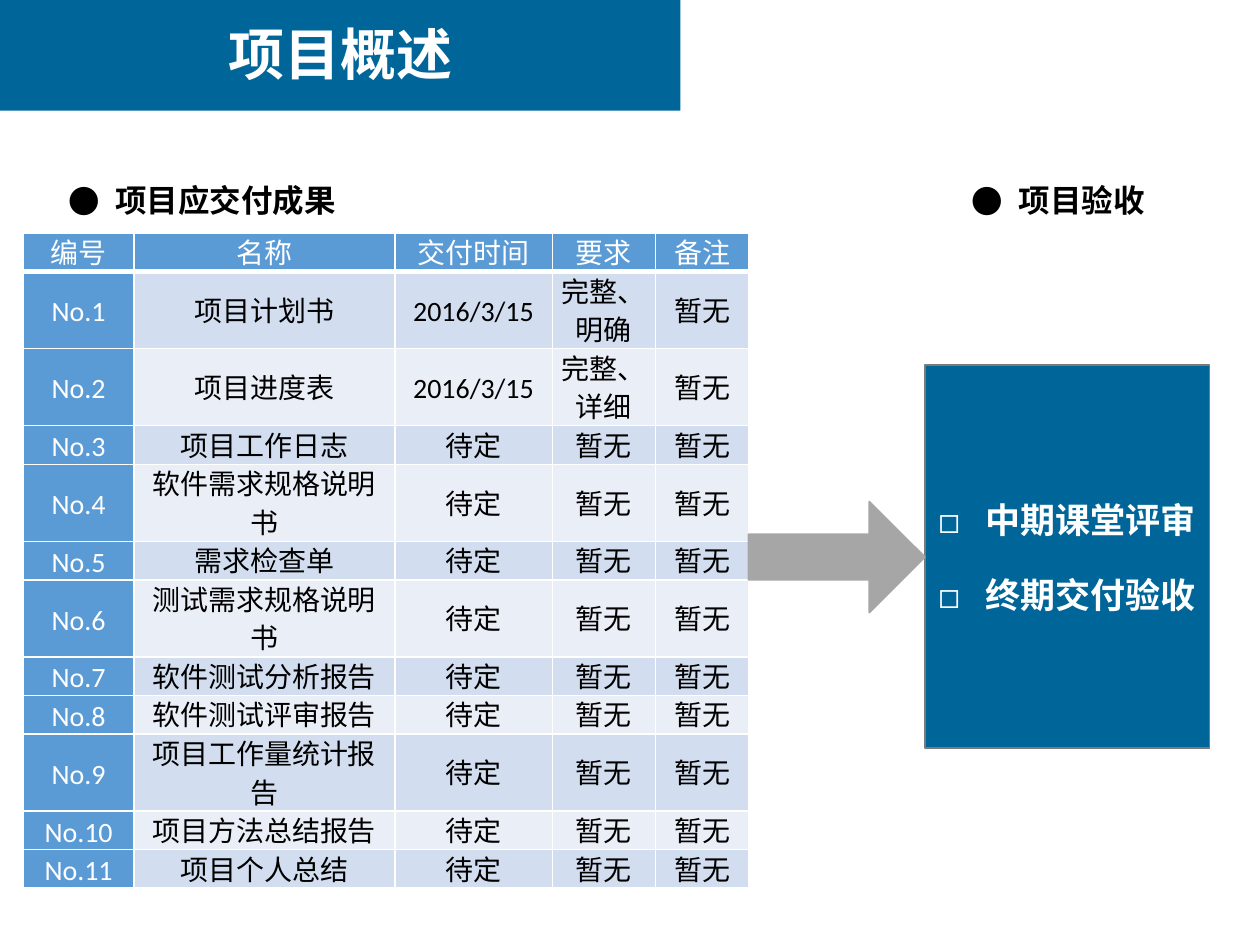
from lxml.etree import SubElement
from pptx import Presentation
from pptx.dml.color import RGBColor
from pptx.enum.shapes import MSO_SHAPE
from pptx.enum.text import MSO_ANCHOR, PP_ALIGN
from pptx.oxml import parse_xml
from pptx.oxml.ns import nsdecls, qn
from pptx.util import Pt

CJK = "Noto Sans CJK SC"
TEAL, BLUE, GREY = "006699", "5B9BD5", "A6A6A6"
WHITE, BLACK = "FFFFFF", "000000"
BANDS = ("D2DEEF", "EAEFF7")
ROW_HEIGHT = 22
COLUMN_WIDTHS = (63.4, 149, 90, 59, 53.3)
HEADERS = ("编号", "名称", "交付时间", "要求", "备注")
TBD, NONE = "待定", "暂无"
DELIVERABLES = [
    ("项目计划书", "2016/3/15", "完整、明确"),
    ("项目进度表", "2016/3/15", "完整、详细"),
    ("项目工作日志", TBD, NONE),
    ("软件需求规格说明书", TBD, NONE),
    ("需求检查单", TBD, NONE),
    ("测试需求规格说明书", TBD, NONE),
    ("软件测试分析报告", TBD, NONE),
    ("软件测试评审报告", TBD, NONE),
    ("项目工作量统计报告", TBD, NONE),
    ("项目方法总结报告", TBD, NONE),
    ("项目个人总结", TBD, NONE),
]


def rgb(value):
    return RGBColor.from_string(value)


def format_text(p, size, font, color, bold=False, align=None):
    p.alignment = align
    for r in p.runs:
        r.font.size = Pt(size)
        r.font.name = font
        r.font.bold = bold
        r.font.color.rgb = rgb(color)
        SubElement(r.font._element, qn("a:ea")).set("typeface", CJK)


def add_bullet(p, char, indent):
    pPr = p._p.get_or_add_pPr()
    pPr.set("marL", str(Pt(indent)))
    pPr.set("indent", str(-Pt(indent)))
    SubElement(pPr, qn("a:buFont")).set("typeface", CJK)
    SubElement(pPr, qn("a:buChar")).set("char", char)


def add_block(s, kind, box, fill, line=None):
    sp = s.shapes.add_shape(kind, *map(Pt, box))
    sp.shadow.inherit = False
    sp.fill.solid()
    sp.fill.fore_color.rgb = rgb(fill)
    if line:
        sp.line.color.rgb = rgb(line)
        sp.line.width = Pt(1)
    else:
        sp.line.fill.background()
    return sp


def add_text(s, box, text):
    tf = s.shapes.add_textbox(*map(Pt, box)).text_frame
    tf.word_wrap = True
    tf.text = text
    return tf.paragraphs[0]


def add_title(s, x, y, w, h):
    add_block(s, MSO_SHAPE.RECTANGLE, (x, y, w, h), TEAL)
    p = add_text(s, (x, y + 8.6, w, 46), "项目概述")
    format_text(p, 32, CJK, WHITE, True, PP_ALIGN.CENTER)


def add_heading(s, x, y, w, h, text):
    p = add_text(s, (x, y, w, h), text)
    p.line_spacing = 1.5
    format_text(p, 18, "Arial", BLACK, True)
    add_bullet(p, "●", 27)


def set_borders(cell, bottom):
    tcPr = cell._tc.get_or_add_tcPr()
    for i, side in enumerate("LRTB"):
        width = Pt(bottom if side == "B" else 1)
        tcPr.insert(i, parse_xml(
            f'<a:ln{side} {nsdecls("a")} w="{width}"><a:solidFill>'
            f'<a:srgbClr val="{WHITE}"/></a:solidFill></a:ln{side}>'))


def fill_cell(cell, text, fill, color, bottom):
    cell.margin_left = cell.margin_right = Pt(5)
    cell.margin_top = cell.margin_bottom = 0
    cell.vertical_anchor = MSO_ANCHOR.MIDDLE
    cell.fill.solid()
    cell.fill.fore_color.rgb = rgb(fill)
    set_borders(cell, bottom)
    cell.text = text
    p = cell.text_frame.paragraphs[0]
    p.line_spacing = Pt(ROW_HEIGHT)
    format_text(p, 16, "Calibri", color, align=PP_ALIGN.CENTER)


def add_deliverables(s, x, y):
    rows = [HEADERS] + [(f"No.{n}", *item, NONE)
                        for n, item in enumerate(DELIVERABLES, 1)]
    # Long names and requirements wrap onto a second line
    heights = [ROW_HEIGHT * (2 if len(row[1]) > 8 or len(row[3]) > 3 else 1)
               for row in rows]
    table = s.shapes.add_table(
        len(rows), len(HEADERS), Pt(x), Pt(y),
        Pt(sum(COLUMN_WIDTHS)), Pt(sum(heights))).table
    for column, width in zip(table.columns, COLUMN_WIDTHS):
        column.width = Pt(width)
    for i, (row, height) in enumerate(zip(rows, heights)):
        table.rows[i].height = Pt(height)
        for j, text in enumerate(row):
            is_header = i == 0 or j == 0
            fill = BLUE if is_header else BANDS[(i - 1) % 2]
            color = WHITE if is_header else BLACK
            fill_cell(table.cell(i, j), text, fill, color, 3 if i == 0 else 1)


def add_acceptance(s, x, y, w, h):
    tf = add_block(s, MSO_SHAPE.RECTANGLE, (x, y, w, h), TEAL, "7A7A7A").text_frame
    tf.word_wrap = True
    tf.vertical_anchor = MSO_ANCHOR.MIDDLE
    tf.text = "中期课堂评审\n终期交付验收"
    for p in tf.paragraphs:
        format_text(p, 20, CJK, WHITE, True, PP_ALIGN.CENTER)
    tf.paragraphs[1].space_before = Pt(19)
    for p in tf.paragraphs:
        add_bullet(p, "◻", 27)


def add_arrow(s, x, y, w, h):
    sp = add_block(s, MSO_SHAPE.RIGHT_ARROW, (x, y, w, h), GREY, GREY)
    sp.adjustments[0] = 0.41
    sp.adjustments[1] = 0.5


def main():
    prs = Presentation()
    prs.slide_width, prs.slide_height = Pt(720), Pt(540)
    s = prs.slides.add_slide(prs.slide_layouts[6])
    add_title(s, 0, -0.8, 388.8, 64)
    add_heading(s, 31.8, 89.3, 414.7, 34.6, "项目应交付成果")
    add_deliverables(s, 13.2, 133.2)
    add_heading(s, 548, 89.3, 165, 34.6, "项目验收")
    add_acceptance(s, 528.5, 208.8, 162.7, 218.9)
    add_arrow(s, 427.7, 286.6, 100.8, 63.4)
    prs.save("out.pptx")


if __name__ == "__main__":
    main()
